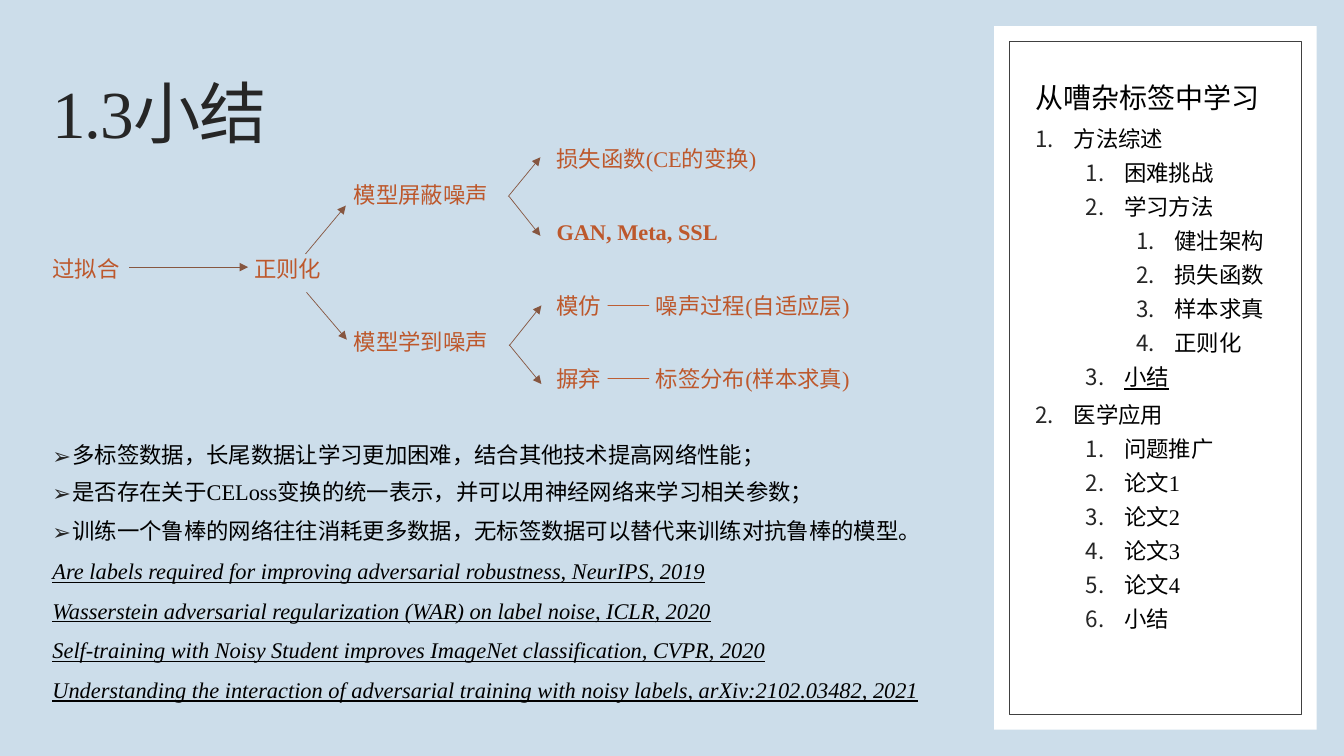
from dataclasses import dataclass

from lxml import etree
from pptx import Presentation
from pptx import util as u
from pptx.dml import color
from pptx.enum import shapes, text
from pptx.oxml import ns

PX = 9144  # one px is a hundredth of an inch
HUES = {"sky": "CCDDEA", "white": "FFFFFF", "black": "000000", "ink": "262626",
        "frame": "404040", "rust": "BD582C", "arrow": "865640"}
ROMAN, HAN = "Times New Roman", "Noto Sans CJK SC"


@dataclass
class Label:
    left: int
    row: int
    words: str
    bold: bool = False


@dataclass
class Arrow:
    x1: int
    y1: int
    x2: int
    y2: int


@dataclass
class Note:
    words: str
    cited: bool = False
    line: float = 19.3


@dataclass
class Item:
    level: int
    words: str
    under: bool = False


LABELS = [
    Label(552, 0, "损失函数(CE的变换)"),
    Label(351, 1, "模型屏蔽噪声"),
    Label(552, 2, "GAN, Meta, SSL", True),
    Label(52, 3, "过拟合"),
    Label(252, 3, "正则化"),
    Label(552, 4, "模仿 —— 噪声过程(自适应层)"),
    Label(351, 5, "模型学到噪声"),
    Label(552, 6, "摒弃 —— 标签分布(样本求真)"),
]
ARROWS = [
    Arrow(128, 265, 246, 265),
    Arrow(303, 252, 343, 204), Arrow(304, 290, 344, 337),
    Arrow(504, 195, 536, 156), Arrow(505, 195, 536, 234),
    Arrow(505, 343, 537, 303), Arrow(505, 342, 537, 381),
]
NOTES = [
    Note("多标签数据，长尾数据让学习更加困难，结合其他技术提高网络性能；", line=17.4),
    Note("是否存在关于CELoss变换的统一表示，并可以用神经网络来学习相关参数；", line=17.4),
    Note("训练一个鲁棒的网络往往消耗更多数据，无标签数据可以替代来训练对抗鲁棒的模型。"),
    Note("Are labels required for improving adversarial robustness, NeurIPS, 2019", True),
    Note("Wasserstein adversarial regularization (WAR) on label noise, ICLR, 2020", True),
    Note("Self-training with Noisy Student improves ImageNet classification, CVPR, 2020", True),
    Note("Understanding the interaction of adversarial training with noisy labels, "
         "arXiv:2102.03482, 2021", True),
]
ITEMS = [
    Item(0, "方法综述"), Item(1, "困难挑战"), Item(1, "学习方法"),
    Item(2, "健壮架构"), Item(2, "损失函数"), Item(2, "样本求真"), Item(2, "正则化"),
    Item(1, "小结", True),
    Item(0, "医学应用"), Item(1, "问题推广"), Item(1, "论文1"), Item(1, "论文2"),
    Item(1, "论文3"), Item(1, "论文4"), Item(1, "小结"),
]


def rgb(hue: str):
    return color.RGBColor.from_string(HUES[hue])


def add(parent, tag: str, **attrs):
    node = etree.SubElement(parent, ns.qn(tag))
    for key, val in attrs.items():
        node.set(key, val)
    return node


def panel(slide, left: int, top: int, wide: int, high: int, fill="", line=""):
    box = slide.shapes.add_shape(shapes.MSO_SHAPE.RECTANGLE, left * PX, top * PX,
                                 wide * PX, high * PX)
    box.shadow.inherit = False
    if fill:
        box.fill.solid()
        box.fill.fore_color.rgb = rgb(fill)
    else:
        box.fill.background()
    if line:
        box.line.color.rgb = rgb(line)
        box.line.width = u.Pt(0.5)
    else:
        box.line.fill.background()


def frame(slide, left: int, top: int, wide: int, high: int, anchor="TOP"):
    body = slide.shapes.add_textbox(left * PX, top * PX, wide * PX, high * PX).text_frame
    form = {"word_wrap": True, "margin_left": 0, "margin_right": 0, "margin_top": 0,
            "margin_bottom": 0, "vertical_anchor": text.MSO_ANCHOR[anchor]}
    for key, val in form.items():
        setattr(body, key, val)
    return body


def write(para, words: str, hue="black", size=16, name=ROMAN, **form):
    run = para.add_run()
    run.text = words
    for key, val in {"size": u.Pt(size), "name": name, **form}.items():
        setattr(run.font, key, val)
    run.font.color.rgb = rgb(hue)
    add(run.font._element, "a:ea", typeface=HAN)
    return run


def bullet(para, left: int, hang: int, tag: str, **attrs):
    props = para._p.get_or_add_pPr()
    props.set("marL", str(left * PX))
    props.set("indent", str(-hang * PX))
    add(add(props, "a:buClr"), "a:srgbClr", val=HUES["ink"])
    add(props, "a:buFont", typeface=HAN)
    add(props, tag, **attrs)


def paras(body, rows: list):
    """Yield each row with its own paragraph."""
    for num, row in enumerate(rows):
        yield num, row, body.add_paragraph() if num else body.paragraphs[0]


def draw_arrow(slide, way: Arrow):
    link = slide.shapes.add_connector(shapes.MSO_CONNECTOR.STRAIGHT, way.x1 * PX,
                                      way.y1 * PX, way.x2 * PX, way.y2 * PX)
    link.line.color.rgb = rgb("arrow")
    link.line.width = u.Pt(0.5)
    add(link.line._get_or_add_ln(), "a:tailEnd", type="triangle")
    add(link._element.spPr, "a:effectLst")


def draw_label(slide, label: Label):
    mid = 157 + 73 * label.row // 2
    body = frame(slide, label.left, mid - 15, 350, 30, "MIDDLE")
    body.word_wrap = False
    write(body.paragraphs[0], label.words, "rust", bold=label.bold)


def draw_notes(slide):
    body = frame(slide, 52, 440, 868, 269)
    for num, note, para in paras(body, NOTES):
        if not note.cited:
            bullet(para, 20, 20, "a:buChar", char="➢")
        para.line_spacing = u.Pt(note.line)
        para.space_before = u.Pt(9 if num else 0)
        write(para, note.words, italic=note.cited, underline=note.cited)


def draw_list(slide):
    body = frame(slide, 1027, 124, 246, 560)
    for num, item, para in paras(body, ITEMS):
        para.level = item.level
        bullet(para, 38 + 50 * item.level, 38, "a:buAutoNum", type="arabicPeriod")
        para.line_spacing = u.Pt(19.3)
        para.space_before = u.Pt(0 if not num else 5 if item.level else 8)
        write(para, item.words, underline=item.under)


def main():
    deck = Presentation()
    deck.slide_width, deck.slide_height = 1333 * PX, 750 * PX
    slide = deck.slides.add_slide(deck.slide_layouts[6])
    slide.background.fill.solid()
    slide.background.fill.fore_color.rgb = rgb("sky")

    # Side panel
    panel(slide, 986, 26, 320, 698, fill="white")
    panel(slide, 1001, 41, 290, 668, line="frame")
    head = frame(slide, 1027, 66, 246, 48, "BOTTOM").paragraphs[0]
    head.line_spacing = 0.9
    write(head, "从嘈杂标签中学习", size=20, name=HAN)
    draw_list(slide)

    # Slide title
    title = frame(slide, 52, 41, 900, 150, "MIDDLE").paragraphs[0]
    title.line_spacing = 0.9
    run = write(title, "1.3小结", "ink", 48)
    run.font._element.set("spc", "-100")

    # Diagram
    for label in LABELS:
        draw_label(slide, label)
    for way in ARROWS:
        draw_arrow(slide, way)

    # Remarks and references
    draw_notes(slide)
    deck.save("out.pptx")


if __name__ == "__main__":
    main()
